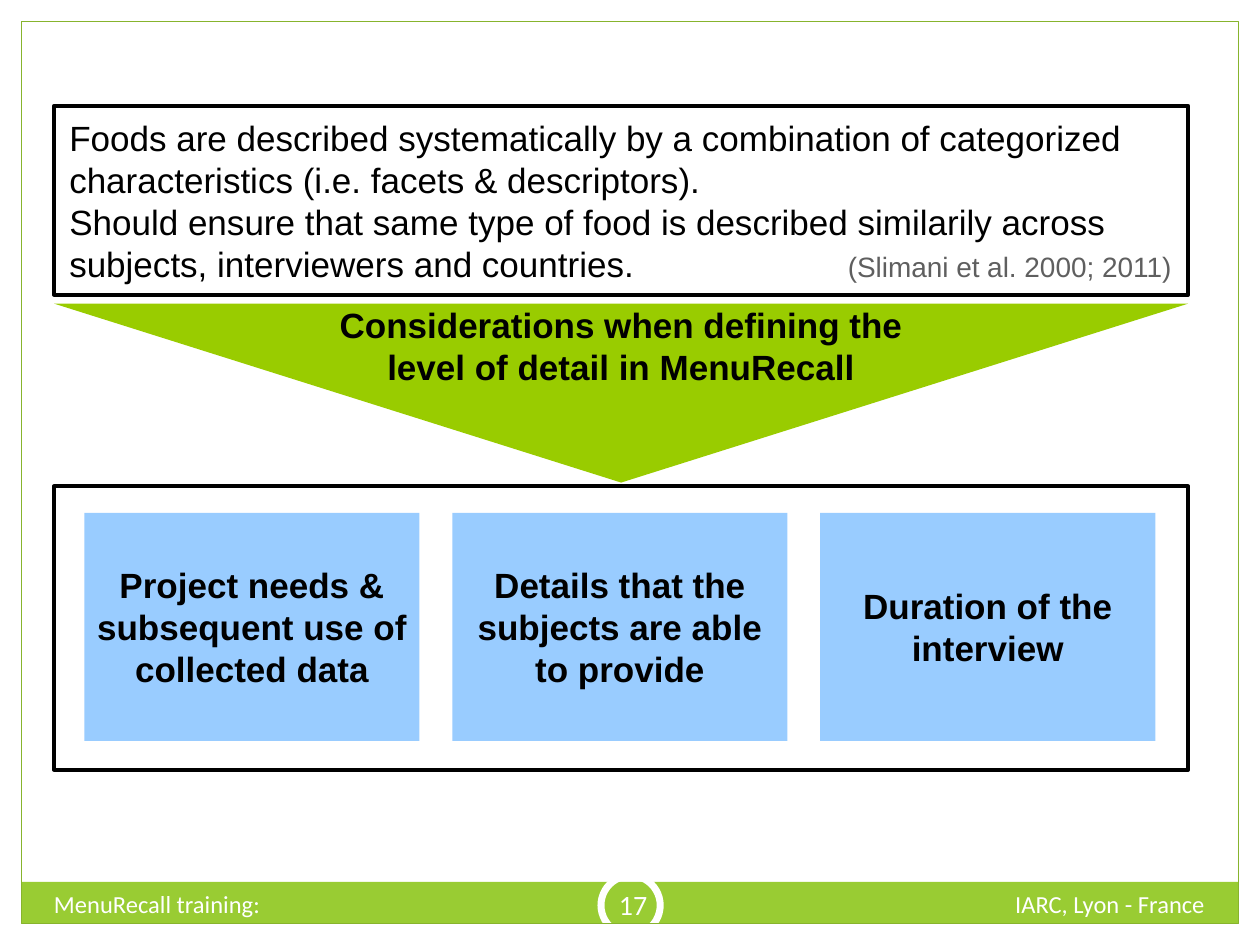
from pptx import Presentation
from pptx.dml.color import RGBColor
from pptx.enum.shapes import MSO_SHAPE as SHAPE
from pptx.enum.text import MSO_ANCHOR as ANCHOR, PP_ALIGN as ALIGN
from pptx.oxml import parse_xml
from pptx.oxml.ns import nsdecls
from pptx.util import Inches, Pt

GREEN, LIME, BLUE = "99CC33", "99CC00", "99CCFF"
WHITE, BLACK, GREY = "FFFFFF", "000000", "5F5F5F"


def rgb(color):
    return RGBColor.from_string(color)


def add_box(slide, kind, box, fill=None, line=None, width=2.25):
    s = slide.shapes.add_shape(kind, *map(Inches, box))
    s.shadow.inherit = False
    if fill:
        s.fill.solid()
        s.fill.fore_color.rgb = rgb(fill)
    else:
        s.fill.background()
    if line:
        s.line.color.rgb = rgb(line)
        s.line.width = Pt(width)
    else:
        s.line.fill.background()
    return s


def style_run(r, size, color=BLACK, bold=False, font="Arial"):
    r.font.name, r.font.size, r.font.bold = font, Pt(size), bold
    r.font.color.rgb = rgb(color)


def set_text(s, text, size, align, anchor, margins, **style):
    tf = s.text_frame
    tf.word_wrap = True
    tf.vertical_anchor = anchor
    tf.margin_left = tf.margin_right = Inches(margins[0])
    tf.margin_top = tf.margin_bottom = Inches(margins[1])
    tf.text = text
    for p in tf.paragraphs:
        p.alignment = align
        for r in p.runs:
            style_run(r, size, **style)
    return tf


def add_frame(slide):
    # Green footer band, white page margins, page number ring, border
    add_box(slide, SHAPE.RECTANGLE, (0.16, 7, 9.68, 0.34), GREEN)
    for margin in ((0, 7.33, 10, 0.17), (0, 0, 10, 0.17),
                   (9.83, 0, 0.17, 7.5), (0, 0, 0.17, 7.5)):
        add_box(slide, SHAPE.RECTANGLE, margin, WHITE)
    add_box(slide, SHAPE.OVAL, (4.77, 6.95, 0.47, 0.47), line=WHITE, width=4)
    add_box(slide, SHAPE.RECTANGLE, (0.17, 0.17, 9.66, 7.16),
            line="87B42D", width=0.75)
    # Footer texts
    footers = (
        ("IARC, Lyon - France", (6.33, 7.01, 3.33, 0.4), 14, ALIGN.RIGHT, ANCHOR.TOP, 0.1),
        ("MenuRecall training:", (0.33, 7.01, 3.92, 0.4), 14, ALIGN.LEFT, ANCHOR.TOP, 0.1),
        ("17", (4.69, 6.94, 0.67, 0.48), 16, ALIGN.CENTER, ANCHOR.MIDDLE, 0.05),
    )
    for text, box, size, align, anchor, inset in footers:
        s = slide.shapes.add_textbox(*map(Inches, box))
        set_text(s, text, size, align, anchor, (inset, 0.05),
                 color=WHITE, font="Calibri")


def add_statement(slide, box, paragraphs, citation):
    s = add_box(slide, SHAPE.RECTANGLE, box, line=BLACK)
    inset = 0.12
    tf = set_text(s, "\n".join(paragraphs), 20, ALIGN.LEFT, ANCHOR.MIDDLE, (inset, 0))
    # The citation sits on a right tab at the edge of the text
    p = tf.paragraphs[-1]
    tab = Inches(box[2] - 2 * inset - 0.01)
    p._p.get_or_add_pPr().append(parse_xml(
        f'<a:tabLst {nsdecls("a")}><a:tab pos="{tab}" algn="r"/></a:tabLst>'))
    r = p.add_run()
    r.text = "\t" + citation
    style_run(r, 16, GREY)


def add_pointer(slide, box, text):
    s = add_box(slide, SHAPE.FLOWCHART_MERGE, box, LIME)
    set_text(s, text, 20, ALIGN.CENTER, ANCHOR.TOP, (0, 0), bold=True)


def add_considerations(slide, box, texts):
    add_box(slide, SHAPE.RECTANGLE, box, line=BLACK)
    left, top = box[0] + 0.24, box[1] + 0.21
    card_w, card_h, pitch = 2.66, 1.81, 2.92
    for i, text in enumerate(texts):
        s = add_box(slide, SHAPE.RECTANGLE, (left + i * pitch, top, card_w, card_h), BLUE)
        set_text(s, text, 20, ALIGN.CENTER, ANCHOR.MIDDLE, (0, 0), bold=True)


def main():
    prs = Presentation()
    prs.slide_width, prs.slide_height = Inches(10), Inches(7.5)
    slide = prs.slides.add_slide(prs.slide_layouts[6])
    add_frame(slide)
    add_statement(slide, (0.43, 0.84, 9, 1.5), (
        "Foods are described systematically by a combination of categorized "
        "characteristics (i.e. facets & descriptors).",
        "Should ensure that same type of food is described similarily across "
        "subjects, interviewers and countries.",
    ), "(Slimani et al. 2000; 2011)")
    add_pointer(slide, (0.43, 2.41, 9, 1.42),
                "Considerations when defining the level of detail in MenuRecall")
    add_considerations(slide, (0.43, 3.86, 9, 2.25), (
        "Project needs & subsequent use of collected data",
        "Details that the subjects are able\nto provide",
        "Duration of the interview",
    ))
    prs.save("out.pptx")


if __name__ == "__main__":
    main()
